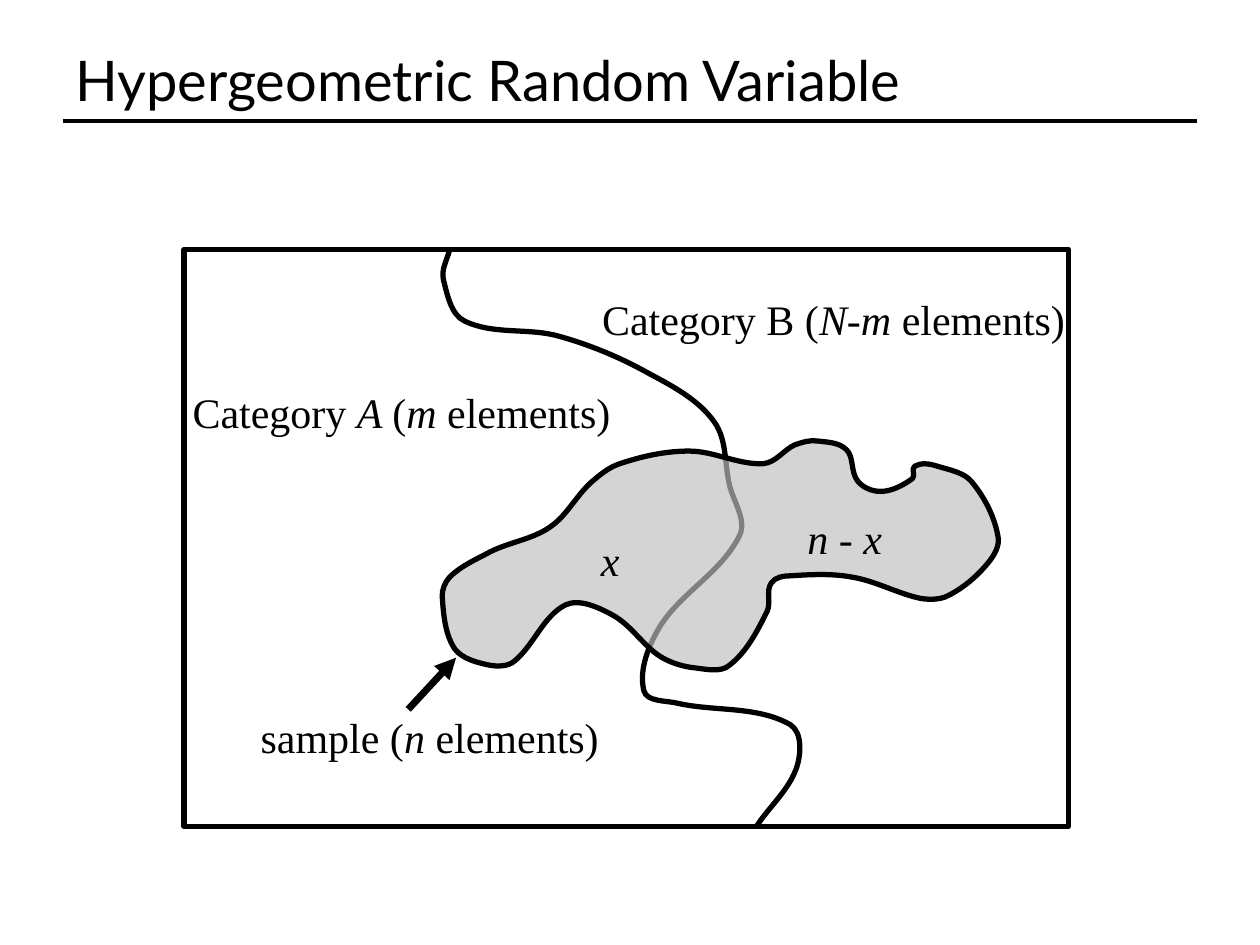
import math

from lxml import etree
from pptx import Presentation
from pptx import util as u
from pptx.dml.color import RGBColor
from pptx.enum import shapes, text
from pptx.oxml.ns import qn

BLACK = "000000"
SERIF = "Times New Roman"

# Points that the smooth outlines pass through, in hundredths of an inch.
BOUNDARY = [
    (7, 0), (2, 24), (19, 57), (94, 69), (166, 99), (217, 137), (229, 187),
    (237, 227), (174, 299), (161, 350), (187, 360), (277, 377), (282, 412), (251, 457),
]
SAMPLE = [
    (374, 30), (349, 40), (331, 32), (322, 7), (299, 0), (281, 3), (256, 18),
    (197, 8), (142, 18), (119, 33), (87, 68), (39, 88), (7, 108), (1, 123),
    (11, 165), (39, 178), (58, 175), (99, 130), (136, 138), (174, 171), (201, 180),
    (229, 178), (259, 135), (262, 113), (277, 107), (326, 108), (381, 125),
    (402, 123), (434, 97), (442, 75), (421, 32), (394, 20), (376, 20),
]


def color(value):
    return RGBColor.from_string(value)


def set_line(shape, width):
    shape.line.color.rgb = color(BLACK)
    shape.line.width = u.Pt(width)


def add_text(slide, left, top, width, height, runs, font=SERIF, size=24,
             anchor=text.MSO_ANCHOR.TOP):
    """Add one line of text; runs holds (wording, italic) pairs."""
    box = slide.shapes.add_textbox(u.Inches(left), u.Inches(top),
                                   u.Inches(width), u.Inches(height))
    frame = box.text_frame
    frame.word_wrap = True
    frame.margin_right = 0
    frame.vertical_anchor = anchor
    for wording, italic in runs:
        run = frame.paragraphs[0].add_run()
        run.text = wording
        run.font.name = font
        run.font.size = u.Pt(size)
        run.font.italic = italic
        run.font.color.rgb = color(BLACK)


def add_line(slide, start, end, width, arrow=False):
    connector = slide.shapes.add_connector(
        shapes.MSO_CONNECTOR.STRAIGHT, *(u.Inches(value) for value in start + end))
    set_line(connector, width)
    if arrow:
        line = connector._element.spPr.find(qn("a:ln"))
        etree.SubElement(line, qn("a:tailEnd"), type="triangle")
    etree.SubElement(connector._element.spPr, qn("a:effectLst"))


def bezier_points(points, close):
    """Return two control points and an end point for each step of a smooth curve."""
    if close:
        path = [points[-1], *points, *points[:2]]
    else:
        path = [points[0], *points, points[-1]]
    result = []
    for before, start, end, after in zip(path, path[1:], path[2:], path[3:]):
        reach = math.dist(start, end) / 3
        leave = reach / math.dist(before, end)
        arrive = reach / math.dist(start, after)
        result += [
            tuple(s + (e - b) * leave for b, s, e in zip(before, start, end)),
            tuple(e - (a - s) * arrive for s, e, a in zip(start, end, after)),
            end,
        ]
    return result


def add_curve(slide, left, top, points, close=False, fill=None, opacity=100):
    """Add a smooth freeform; points are relative to left and top."""
    builder = slide.shapes.build_freeform(*points[0], scale=u.Inches(0.01))
    builder.add_line_segments(bezier_points(points, close), close=close)
    shape = builder.convert_to_shape(u.Inches(left), u.Inches(top))
    segments = list(shape._element.iter(qn("a:lnTo")))
    for first, second, third in zip(segments[::3], segments[1::3], segments[2::3]):
        curve = etree.Element(qn("a:cubicBezTo"))
        first.addprevious(curve)
        for segment in (first, second, third):
            curve.append(segment[0])
            segment.getparent().remove(segment)
    shape.shadow.inherit = False
    set_line(shape, 3)
    if fill:
        shape.fill.solid()
        shape.fill.fore_color.rgb = color(fill)
        fill_color = shape._element.spPr.find(qn("a:solidFill"))[0]
        etree.SubElement(fill_color, qn("a:alpha"), val=str(opacity * 1000))
    else:
        shape.fill.background()


def add_header(slide, left, top, width, height):
    add_line(slide, (left, top + height), (left + width, top + height), 2)
    add_text(slide, left, top, width, height, [("Hypergeometric Random Variable", False)],
             font="Lato", size=32, anchor=text.MSO_ANCHOR.MIDDLE)


def add_population(slide, left, top, width, height):
    """Draw the two categories and the sample that overlaps both."""
    frame = slide.shapes.add_shape(
        shapes.MSO_SHAPE.RECTANGLE, u.Inches(left), u.Inches(top),
        u.Inches(width), u.Inches(height))
    frame.shadow.inherit = False
    frame.fill.background()
    set_line(frame, 3)

    add_curve(slide, left + 2.04, top, BOUNDARY)
    add_curve(slide, left + 2.04, top + 1.52, SAMPLE, close=True, fill="C0C0C0", opacity=67)
    add_line(slide, (left + 1.78, top + 3.65), (left + 2.16, top + 3.24), 4, arrow=True)

    labels = [
        (-0.03, 1.04, 3.63, [("Category ", False), ("A ", True), ("(", False),
                             ("m ", True), ("elements)", False)]),
        (3.22, 0.3, 3.88, [("Category B (", False), ("N-m ", True), ("elements)", False)]),
        (0.51, 3.62, 3.18, [("sample (", False), ("n ", True), ("elements)", False)]),
        (3.21, 2.21, 0.38, [("x", True)]),
        (4.85, 2.04, 1.15, [("n - x", True)]),
    ]
    for x, y, label_width, runs in labels:
        add_text(slide, left + x, top + y, label_width, 0.5, runs)


def main():
    presentation = Presentation()
    presentation.slide_width = u.Inches(10)
    presentation.slide_height = u.Inches(7.5)
    slide = presentation.slides.add_slide(presentation.slide_layouts[6])
    add_header(slide, 0.5, 0.3, 9, 0.66)
    add_population(slide, 1.46, 1.98, 7.02, 4.58)
    presentation.save("out.pptx")


if __name__ == "__main__":
    main()
